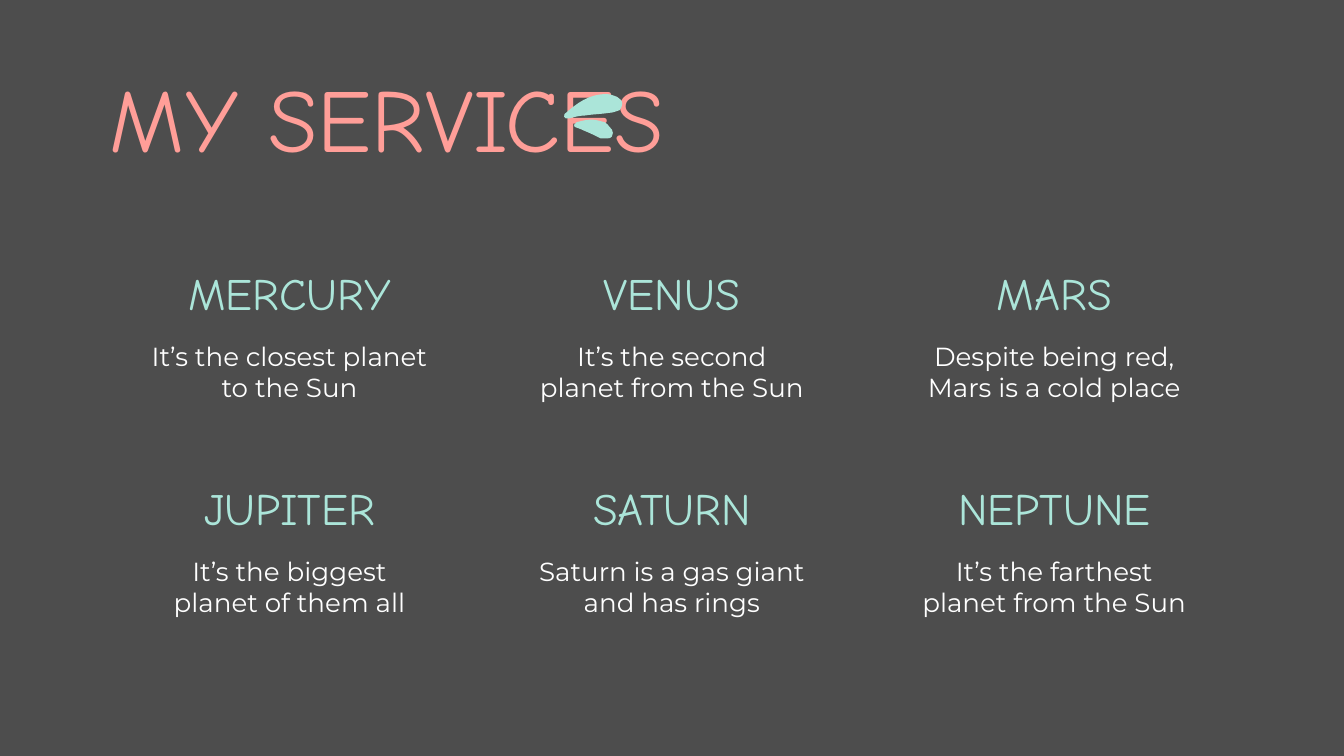
from lxml import etree
from pptx import Presentation
from pptx.dml.color import RGBColor
from pptx.enum import text
from pptx.oxml.ns import qn
from pptx.util import Inches, Pt

BACKGROUND, CORAL, MINT, WHITE = "4D4D4D", "FF9E98", "ABE5D9", "FFFFFF"
HEADING_FONT, BODY_FONT = "Comic Neue", "Montserrat"

SERVICES = [
    [("MERCURY", ["It’s the closest planet to the Sun"]),
     ("VENUS", ["It’s the second planet from the Sun"]),
     ("MARS", ["Despite being red,", "Mars is a cold place"])],
    [("JUPITER", ["It’s the biggest planet of them all"]),
     ("SATURN", ["Saturn is a gas giant and has rings"]),
     ("NEPTUNE", ["It’s the farthest planet from the Sun"])],
]
GRID_LEFT, LAST_COLUMN_LEFT, GRID_TOP, ROW_STEP = 1.02, 6.71, 1.86, 1.6
COLUMN_STEP = (LAST_COLUMN_LEFT - GRID_LEFT) / 2
CELL_WIDTH, NAME_HEIGHT, DETAIL_OFFSET, DETAIL_HEIGHT = 2.27, 0.62, 0.57, 0.73

# Each leaf: start point, then cubic curves (control, control, end).
LEAVES = [
    ((4.51, 0.70), [
        ((4.38, 0.70), (4.29, 0.77), (4.20, 0.85)),
        ((4.19, 0.86), (4.20, 0.88), (4.21, 0.88)),
        ((4.22, 0.88), (4.22, 0.88), (4.22, 0.88)),
        ((4.23, 0.88), (4.23, 0.88), (4.24, 0.88)),
        ((4.28, 0.87), (4.31, 0.86), (4.35, 0.86)),
        ((4.41, 0.85), (4.47, 0.85), (4.53, 0.84)),
        ((4.56, 0.84), (4.58, 0.83), (4.61, 0.82)),
        ((4.62, 0.81), (4.63, 0.79), (4.63, 0.77)),
        ((4.63, 0.75), (4.61, 0.73), (4.59, 0.72)),
        ((4.56, 0.71), (4.54, 0.70), (4.51, 0.70)),
        ((4.51, 0.70), (4.51, 0.70), (4.51, 0.70))]),
    ((4.40, 0.89), [
        ((4.36, 0.89), (4.33, 0.90), (4.29, 0.91)),
        ((4.28, 0.92), (4.27, 0.93), (4.27, 0.93)),
        ((4.27, 0.94), (4.28, 0.95), (4.29, 0.95)),
        ((4.31, 0.96), (4.33, 0.96), (4.34, 0.97)),
        ((4.39, 0.99), (4.43, 1.01), (4.47, 1.03)),
        ((4.48, 1.03), (4.50, 1.03), (4.51, 1.03)),
        ((4.51, 1.03), (4.52, 1.03), (4.52, 1.03)),
        ((4.55, 1.03), (4.56, 1.01), (4.56, 0.99)),
        ((4.56, 0.97), (4.55, 0.96), (4.54, 0.95)),
        ((4.53, 0.93), (4.51, 0.92), (4.50, 0.91)),
        ((4.46, 0.90), (4.43, 0.89), (4.40, 0.89))]),
]


def color(hex_value):
    return RGBColor.from_string(hex_value)


def add_text(slide, box, lines, size, font, hex_color,
             align=text.PP_ALIGN.CENTER, anchor=text.MSO_ANCHOR.TOP):
    shape = slide.shapes.add_textbox(*map(Inches, box))
    frame = shape.text_frame
    frame.word_wrap = True
    frame.vertical_anchor = anchor
    frame.margin_left = frame.margin_right = Inches(0.1)
    frame.margin_top = frame.margin_bottom = Inches(0.1)
    for index, line in enumerate(lines):
        paragraph = frame.add_paragraph() if index else frame.paragraphs[0]
        paragraph.alignment = align
        run = paragraph.add_run()
        run.text = line
        run.font.size = Pt(size)
        run.font.name = font
        run.font.color.rgb = color(hex_color)


def bend_segments(shape):
    """Turn every three line segments of a freeform into one cubic curve."""
    segments = list(shape.element.iter(qn("a:lnTo")))
    for index in range(0, len(segments), 3):
        curve = etree.Element(qn("a:cubicBezTo"))
        segments[index].addprevious(curve)
        for segment in segments[index:index + 3]:
            curve.append(segment[0])
            segment.getparent().remove(segment)


def add_leaf(group, start, curves):
    builder = group.shapes.build_freeform(*map(Inches, start))
    points = [tuple(map(Inches, point)) for curve in curves for point in curve]
    builder.add_line_segments(points, close=True)
    leaf = builder.convert_to_shape()
    bend_segments(leaf)
    leaf.shadow.inherit = False
    leaf.fill.solid()
    leaf.fill.fore_color.rgb = color(MINT)
    leaf.line.fill.background()


def main():
    presentation = Presentation()
    presentation.slide_width = Inches(10)
    presentation.slide_height = Inches(5.625)
    slide = presentation.slides.add_slide(presentation.slide_layouts[6])
    slide.background.fill.solid()
    slide.background.fill.fore_color.rgb = color(BACKGROUND)

    add_text(slide, (0.72, 0.37, 8.94, 0.99), ["MY SERVICES"], 48, HEADING_FONT,
             CORAL, align=text.PP_ALIGN.LEFT)
    for row, services in enumerate(SERVICES):
        top = GRID_TOP + row * ROW_STEP
        for column, (name, detail) in enumerate(services):
            left = GRID_LEFT + column * COLUMN_STEP
            add_text(slide, (left, top, CELL_WIDTH, NAME_HEIGHT), [name], 24,
                     HEADING_FONT, MINT, anchor=text.MSO_ANCHOR.BOTTOM)
            add_text(slide, (left, top + DETAIL_OFFSET, CELL_WIDTH, DETAIL_HEIGHT),
                     detail, 14, BODY_FONT, WHITE)
    leaves = slide.shapes.add_group_shape()
    for start, curves in LEAVES:
        add_leaf(leaves, start, curves)

    presentation.save("out.pptx")


if __name__ == "__main__":
    main()
